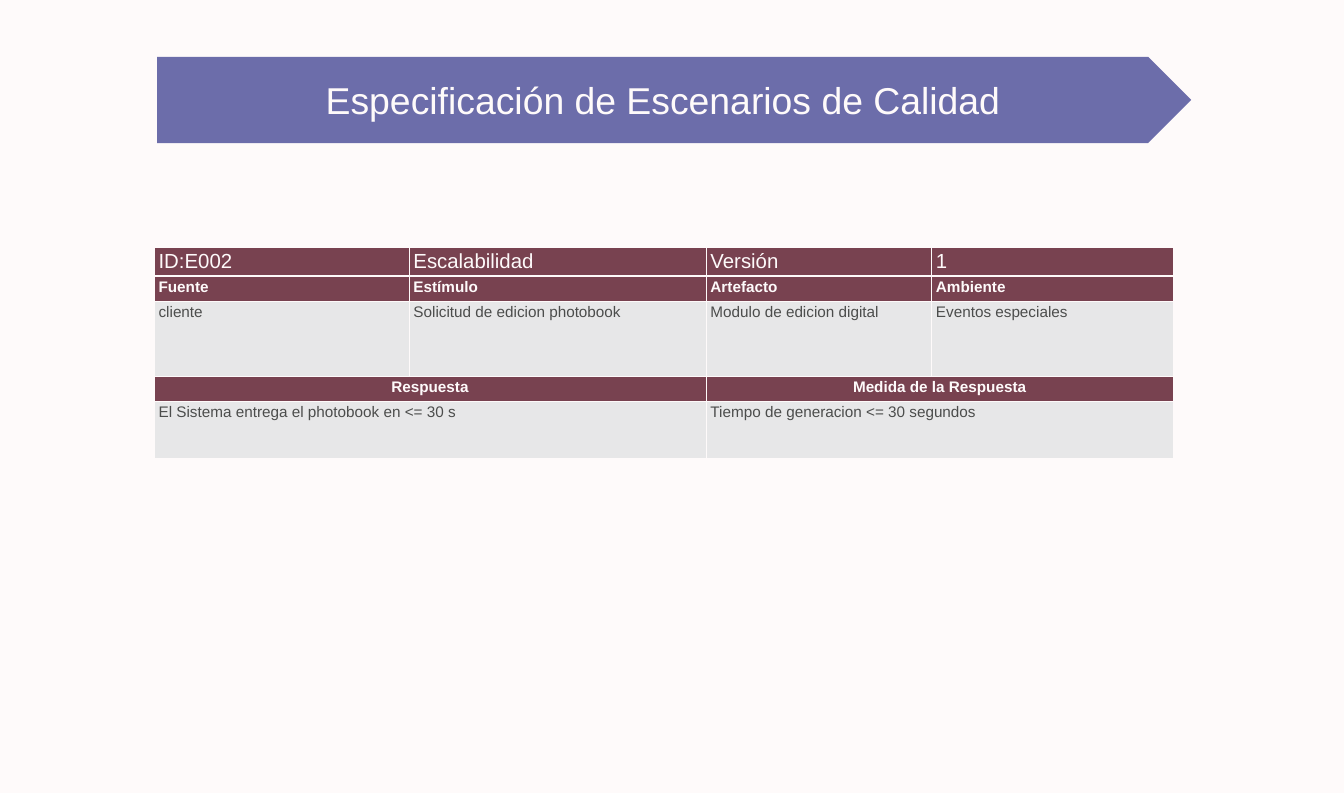
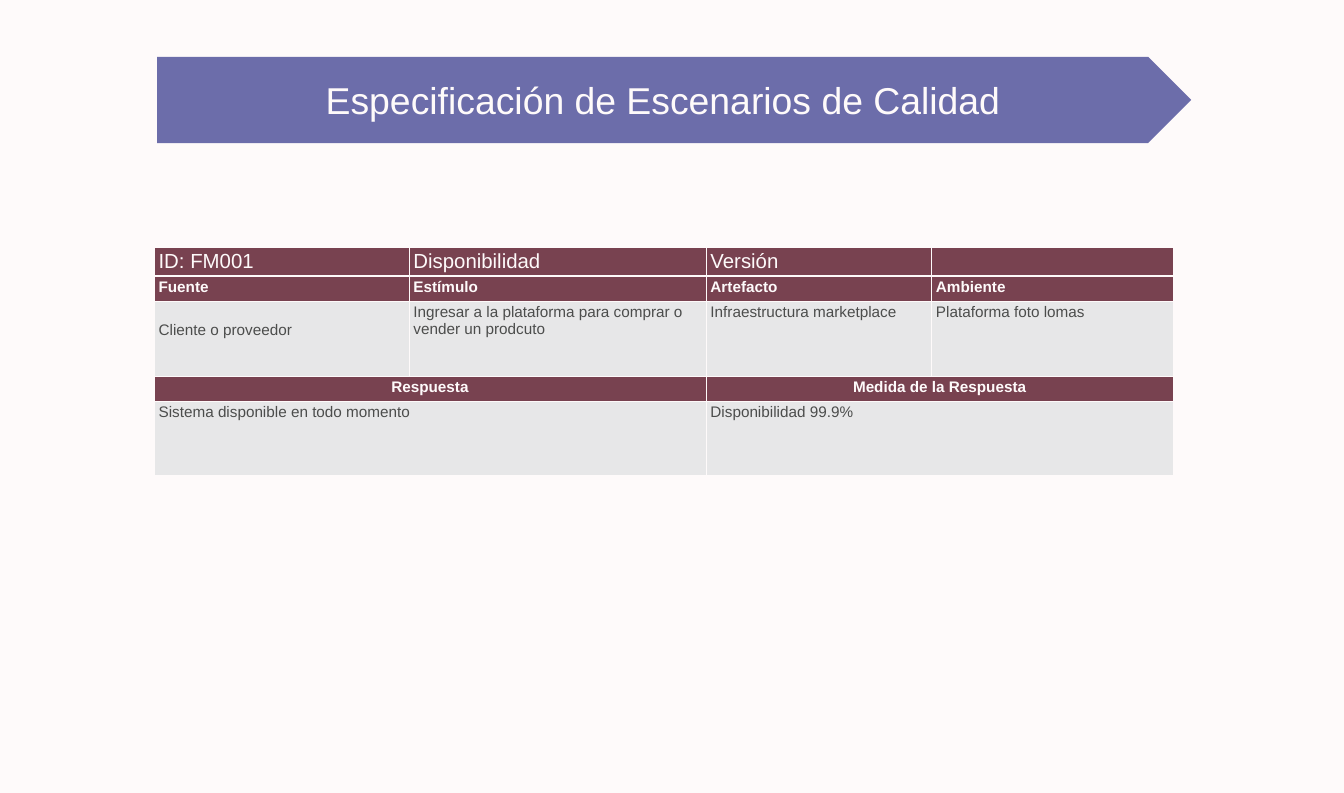
from dataclasses import dataclass

from lxml import etree
from pptx import Presentation
from pptx import util as u
from pptx.dml.color import RGBColor
from pptx.enum import shapes, text
from pptx.oxml import ns

PX = 4572  # EMU per px: 200 px to the inch


@dataclass(frozen=True)
class Theme:
    paper: str = "FEFAFA"
    banner: str = "252884"
    banner_opacity: int = 67
    heading: str = "784250"
    body: str = "E7E7E8"
    ink: str = "4C4D4C"
    font: str = "Arial"
    title_size: int = 44
    id_size: int = 24
    cell_size: int = 18


THEME = Theme()

# Shared geometry, in px
SLIDE_SIZE = (4398, 2594)
BANNER_BOX = (514, 186, 3384, 282)
TABLE_ORIGIN = (504, 810)
COLUMN_WIDTHS = (834, 972, 738, 792)
ROW_HEIGHTS = (94, 82, 246, 82)
CELL_MARGINS = {"margin_left": 15, "margin_right": 15, "margin_top": 7, "margin_bottom": 7}
LINE_HEIGHT = 58

# Kinds of row: fill, text format, alignment
LEFT, CENTER = text.PP_ALIGN.LEFT, text.PP_ALIGN.CENTER
ROW_STYLES = {
    "id": (THEME.heading, THEME.paper, THEME.id_size, False, LEFT),
    "labels": (THEME.heading, THEME.paper, THEME.cell_size, True, LEFT),
    "values": (THEME.body, THEME.ink, THEME.cell_size, False, LEFT),
    "wide labels": (THEME.heading, THEME.paper, THEME.cell_size, True, CENTER),
    "wide values": (THEME.body, THEME.ink, THEME.cell_size, False, LEFT),
}

# Content
TITLE = "Especificación de Escenarios de Calidad"
LABELS = ("Fuente", "Estímulo", "Artefacto", "Ambiente")
WIDE_LABELS = ("Respuesta", "Medida de la Respuesta")
SCENARIOS = [
    {
        "id": ("ID:E002", "Escalabilidad", "Versión", "1"),
        "values": ("cliente", "Solicitud de edicion photobook",
                   "Modulo de edicion digital", "Eventos especiales"),
        "wide values": ("El Sistema entrega el photobook en <= 30 s",
                        "Tiempo de generacion <= 30 segundos"),
        "last height": 186,
        "lowered": (),
    },
    {
        "id": ("ID: FM001", "Disponibilidad", "Versión", ""),
        "values": ("Cliente o proveedor",
                   "Ingresar a la plataforma para comprar o vender un prodcuto",
                   "Infraestructura marketplace", "Plataforma foto lomas"),
        "wide values": ("Sistema disponible en todo momento", "Disponibilidad 99.9%"),
        "last height": 240,
        "lowered": ("Cliente o proveedor",),  # starts one line down
    },
]


def px(*lengths):
    return [u.Emu(length * PX) for length in lengths]


def set_values(target, values):
    for name, value in values.items():
        setattr(target, name, value)


def write(frame, words, color, size, bold, alignment):
    """Put one formatted paragraph into a text frame."""
    paragraph = frame.paragraphs[0]
    paragraph.alignment = alignment
    if words:
        run = paragraph.add_run()
        run.text = words
        set_values(run.font, {"name": THEME.font, "size": u.Pt(size), "bold": bold})
        run.font.color.rgb = RGBColor.from_string(color)


def paint(fill, color):
    fill.solid()
    fill.fore_color.rgb = RGBColor.from_string(color)


def add_banner(slide):
    shape = slide.shapes.add_shape(shapes.MSO_SHAPE.PENTAGON, *px(*BANNER_BOX))
    shape.shadow.inherit = False
    shape.line.fill.background()
    paint(shape.fill, THEME.banner)
    color = shape.element.spPr.find(".//" + ns.qn("a:srgbClr"))
    etree.SubElement(color, ns.qn("a:alpha"), val=str(THEME.banner_opacity * 1000))
    set_values(shape.text_frame, {"word_wrap": True,
                                  "vertical_anchor": text.MSO_ANCHOR.MIDDLE})
    write(shape.text_frame, TITLE, THEME.paper, THEME.title_size, False, CENTER)


def add_borders(cell, top, bottom):
    """Draw the four cell borders; top and bottom are widths in points."""
    properties = cell._tc.get_or_add_tcPr()
    for side, width in (("L", 1), ("R", 1), ("T", top), ("B", bottom)):
        line = etree.SubElement(properties, ns.qn("a:ln" + side), w=str(u.Pt(width)))
        fill = etree.SubElement(line, ns.qn("a:solidFill"))
        etree.SubElement(fill, ns.qn("a:srgbClr"), val=THEME.paper)


def add_scenario_table(slide, scenario):
    content = {"labels": LABELS, "wide labels": WIDE_LABELS, **scenario}
    heights = (*ROW_HEIGHTS, scenario["last height"])
    frame = slide.shapes.add_table(len(heights), len(COLUMN_WIDTHS), *px(
        *TABLE_ORIGIN, sum(COLUMN_WIDTHS), sum(heights)))
    table = frame.table
    set_values(table, {"first_row": False, "horz_banding": False})
    for column, width in zip(table.columns, px(*COLUMN_WIDTHS)):
        column.width = width
    for row, height in zip(table.rows, px(*heights)):
        row.height = height

    for row, (kind, (fill, *text_format)) in enumerate(ROW_STYLES.items()):
        # A thick rule parts the id row from the rest
        top, bottom = (3 if row == 1 else 1), (3 if row == 0 else 1)
        for column in range(len(COLUMN_WIDTHS)):
            cell = table.cell(row, column)
            add_borders(cell, top, bottom)
            paint(cell.fill, fill)
        span = len(COLUMN_WIDTHS) // len(content[kind])
        for index, words in enumerate(content[kind]):
            cell = table.cell(row, index * span)
            if span > 1:
                cell.merge(table.cell(row, index * span + span - 1))
            margins = dict(CELL_MARGINS)
            if words in scenario["lowered"]:
                margins["margin_top"] += LINE_HEIGHT
            set_values(cell, dict(zip(margins, px(*margins.values()))))
            write(cell.text_frame, words, *text_format)


def main():
    presentation = Presentation()
    presentation.slide_width, presentation.slide_height = px(*SLIDE_SIZE)
    paint(presentation.slide_master.background.fill, THEME.paper)
    for scenario in SCENARIOS:
        slide = presentation.slides.add_slide(presentation.slide_layouts[6])
        add_banner(slide)
        add_scenario_table(slide, scenario)
    presentation.save("out.pptx")


if __name__ == "__main__":
    main()
